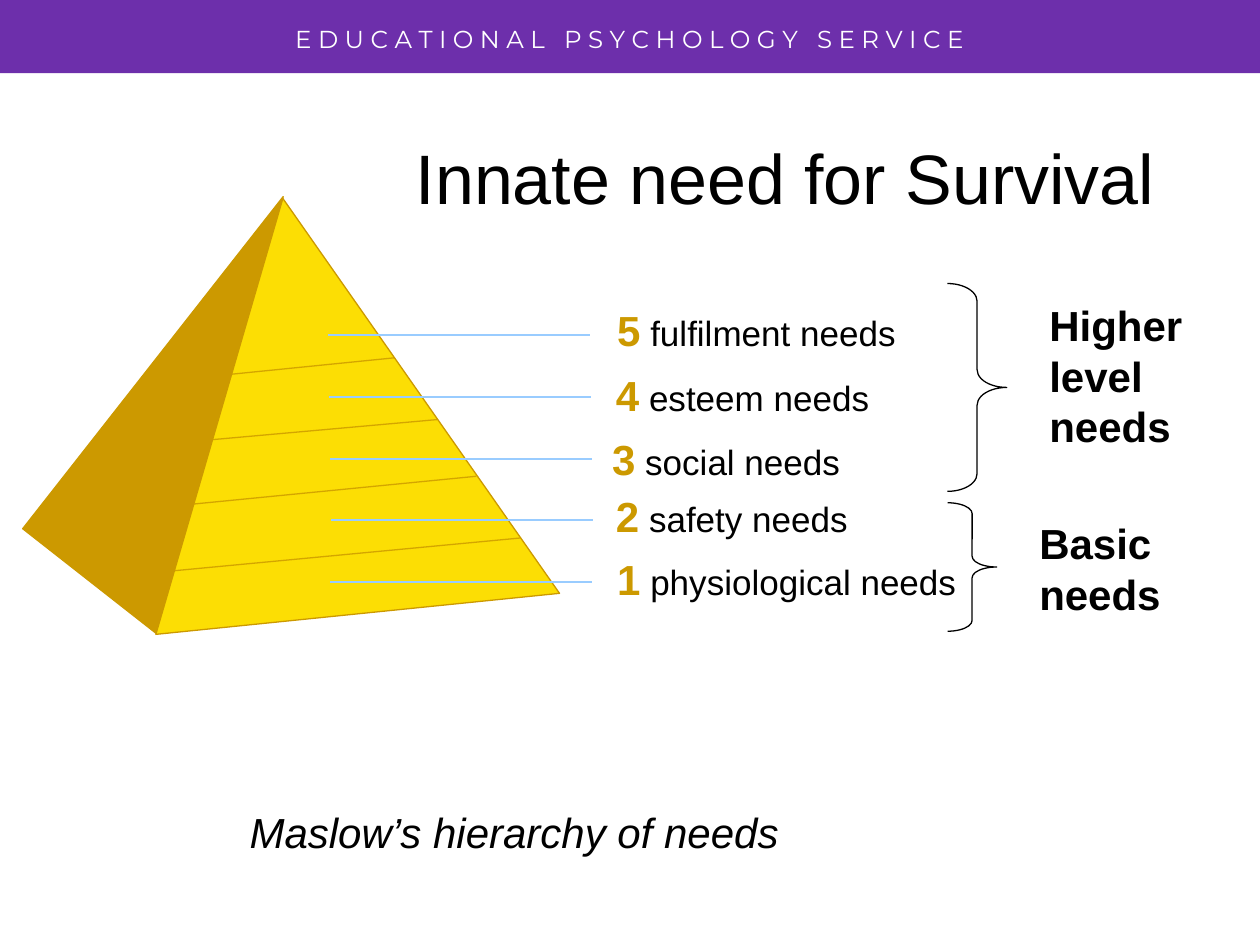
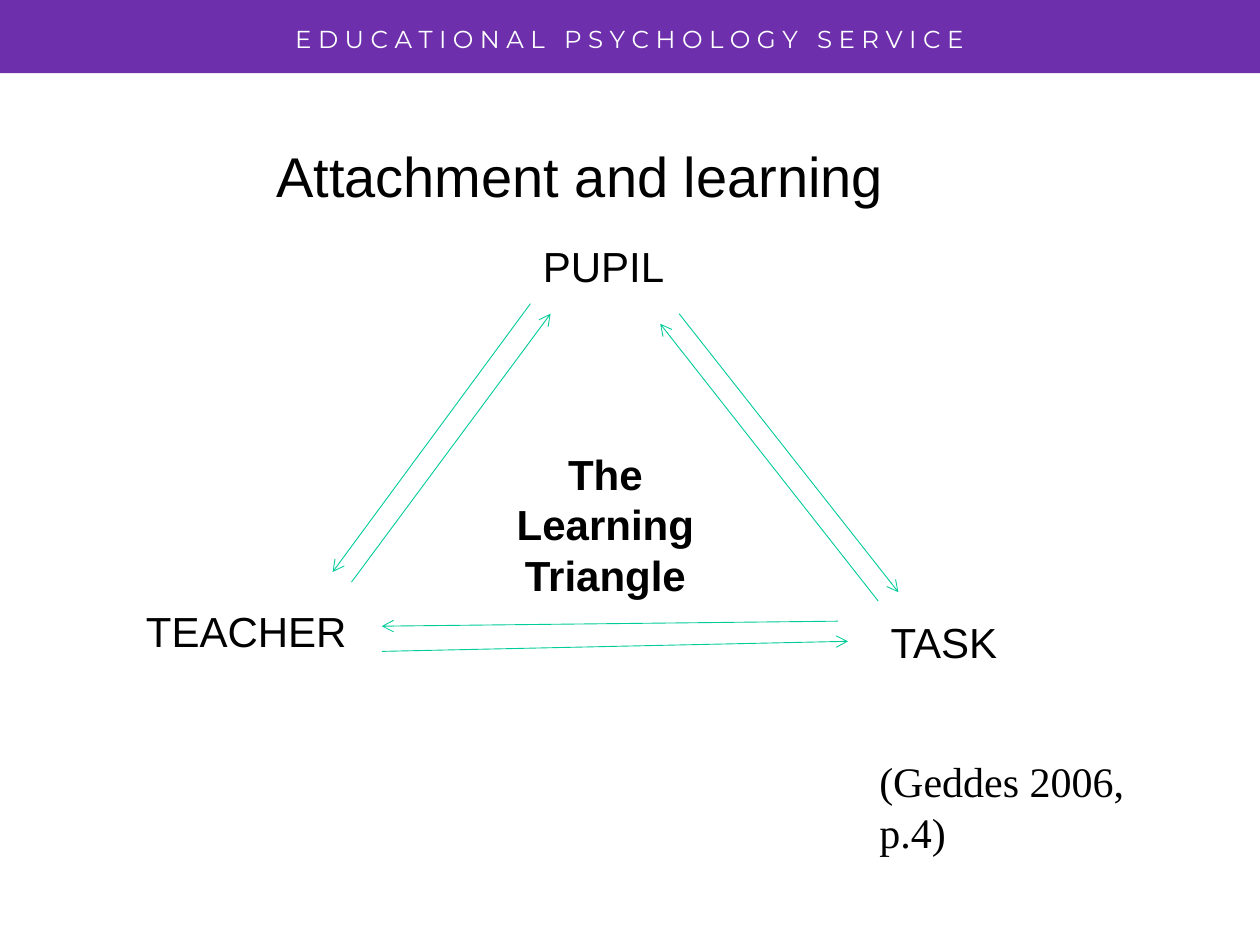
from dataclasses import dataclass

from lxml.etree import SubElement
from pptx import Presentation
from pptx.dml.color import RGBColor
from pptx.enum.shapes import MSO_CONNECTOR, MSO_SHAPE
from pptx.enum.text import MSO_ANCHOR, MSO_AUTO_SIZE, PP_ALIGN
from pptx.oxml.ns import qn
from pptx.util import Inches, Pt


@dataclass(frozen=True)
class Theme:
    purple: str = "6D2FAB"
    gold: str = "CC9900"
    yellow: str = "FCDE04"
    sky: str = "99CCFF"
    green: str = "00CC99"
    black: str = "000000"
    white: str = "FFFFFF"
    sans: str = "Arial"
    serif: str = "Times New Roman"
    brand: str = "Montserrat"
    title: int = 40
    subtitle: int = 32
    body: int = 24
    label: int = 20
    header: int = 14
    thin: float = 0.5
    edge: float = 0.75
    guide: float = 1.25


T = Theme()


def color(code):
    return RGBColor.from_string(code)


def place(box):
    return [Inches(n) for n in box]


def write(frame, text, size=T.body, tint=T.black, font=T.sans, bold=False,
          italic=False, align=PP_ALIGN.LEFT, spacing=1.0):
    para = frame.paragraphs[0]
    para.alignment = align
    para.line_spacing = spacing
    para.space_before = Pt(0)
    run = para.add_run()
    run.text = text
    run.font.size = Pt(size)
    run.font.name = font
    run.font.bold = bold
    run.font.italic = italic
    run.font.color.rgb = color(tint)


def add_box(slide, box, text, wrap=True, grow=True, **style):
    frame = slide.shapes.add_textbox(*place(box)).text_frame
    frame.word_wrap = wrap
    frame.auto_size = MSO_AUTO_SIZE.SHAPE_TO_FIT_TEXT if grow else MSO_AUTO_SIZE.NONE
    if not grow:
        frame.vertical_anchor = MSO_ANCHOR.MIDDLE
    write(frame, text, **style)
    return frame


def add_form(slide, kind, box, fill=None, edge=None, turn=0, adjust=None):
    form = slide.shapes.add_shape(kind, *place(box))
    form.shadow.inherit = False
    form.rotation = turn
    if adjust is not None:
        form.adjustments[0] = adjust
    if fill:
        form.fill.solid()
        form.fill.fore_color.rgb = color(fill)
    else:
        form.fill.background()
    if edge:
        form.line.color.rgb = color(edge)
        form.line.width = Pt(T.edge)
    else:
        form.line.fill.background()


def add_line(slide, ends, tint, width, alpha=None, arrow=False):
    line = slide.shapes.add_connector(MSO_CONNECTOR.STRAIGHT, *place(ends))
    line.line.color.rgb = color(tint)
    line.line.width = Pt(width)
    props = line.element.spPr
    stroke = props.find(qn("a:ln"))
    if alpha:
        paint = stroke.find(".//" + qn("a:srgbClr"))
        SubElement(paint, qn("a:alpha"), val=str(alpha * 1000))
    if arrow:
        SubElement(stroke, qn("a:tailEnd"), type="arrow")
    SubElement(props, qn("a:effectLst"))


def add_slide(deck, title, box, size):
    slide = deck.slides.add_slide(deck.slide_layouts[5])
    add_form(slide, MSO_SHAPE.RECTANGLE, (0, 0, 10, 0.58), fill=T.purple)
    add_box(slide, (0, 0.14, 10, 0.34), " ".join("EDUCATIONAL PSYCHOLOGY SERVICE"),
            size=T.header, tint=T.white, font=T.brand, align=PP_ALIGN.CENTER)
    head = slide.shapes.title
    head.left, head.top, head.width, head.height = place(box)
    frame = head.text_frame
    frame.auto_size = MSO_AUTO_SIZE.NONE
    frame.vertical_anchor = MSO_ANCHOR.MIDDLE
    write(frame, title, size=size, align=PP_ALIGN.CENTER)
    return slide


def add_needs(deck):
    slide = add_slide(deck, "Innate need for Survival", (3.19, 0.94, 6.08, 0.92), T.title)
    add_form(slide, MSO_SHAPE.ISOSCELES_TRIANGLE, (1.07, 1.62, 1.35, 3.35),
             fill=T.gold, edge=T.gold, turn=38.1, adjust=0)
    add_form(slide, MSO_SHAPE.ISOSCELES_TRIANGLE, (1.06, 1.54, 3.22, 3.34),
             fill=T.yellow, edge=T.gold, turn=354.2, adjust=0.42)

    tiers = [(1.38, 4.53, 4.13, 4.27), (1.54, 4, 3.78, 3.78),
             (1.68, 3.49, 3.47, 3.33), (1.84, 2.97, 3.13, 2.84)]
    for ends in tiers:
        add_line(slide, ends, T.gold, T.edge, alpha=82)

    needs = [("fulfilment", 2.6, 4.8, 2.41), ("esteem", 2.61, 4.79, 2.93),
             ("social", 2.62, 4.76, 3.44), ("safety", 2.63, 4.79, 3.89),
             ("physiological", 2.62, 4.8, 4.39)]
    for row, (need, start, left, top) in enumerate(needs):
        y = 2.66 + 0.49 * row
        add_line(slide, (start, y, start + 2.08, y), T.sky, T.guide)
        frame = add_box(slide, (left, top, 3.29, 0.46), str(len(needs) - row),
                        tint=T.gold, bold=True, spacing=0.9)
        write(frame, f" {need} needs", size=T.label, spacing=0.9)

    groups = [("Higher level needs", (8.23, 2.33, 1.34, 1.3), (7.52, 2.25, 0.47, 1.65), 0.3),
              ("Basic needs", (8.15, 4.06, 1.26, 0.9), (7.52, 3.99, 0.39, 1.02), 0.22)]
    for text, box, brace, bend in groups:
        add_form(slide, MSO_SHAPE.RIGHT_BRACE, brace, edge=T.black, adjust=bend)
        add_box(slide, box, text, bold=True)
    add_box(slide, (1.04, 6.14, 6.08, 0.92), "Maslow’s hierarchy of needs",
            grow=False, italic=True, align=PP_ALIGN.CENTER)


def add_learning(deck):
    slide = add_slide(deck, "Attachment and learning", (1.77, 1.07, 5.67, 0.64), T.subtitle)
    arrows = [(2.79, 4.62, 4.37, 2.49), (4.21, 2.41, 2.64, 4.54),
              (5.39, 2.49, 7.13, 4.7), (6.97, 4.77, 5.24, 2.57),
              (3.03, 5.17, 6.73, 5.09), (6.65, 4.93, 3.03, 4.97)]
    for ends in arrows:
        add_line(slide, ends, T.green, T.thin, arrow=True)
    corners = [("PUPIL", (4.21, 1.86, 1.34, 0.5)), ("TEACHER", (1.06, 4.76, 2.28, 0.5)),
               ("TASK", (6.97, 4.84, 1.3, 0.5))]
    for text, box in corners:
        add_box(slide, box, text)
    add_box(slide, (3.9, 3.51, 1.81, 1.3), "The Learning Triangle",
            bold=True, align=PP_ALIGN.CENTER)
    add_box(slide, (6.88, 5.95, 2.75, 0.5), "(Geddes 2006, p.4)", wrap=False, font=T.serif)


def main():
    deck = Presentation()
    deck.slide_width, deck.slide_height = Inches(10), Inches(7.5)
    add_needs(deck)
    add_learning(deck)
    deck.save("out.pptx")


if __name__ == "__main__":
    main()
